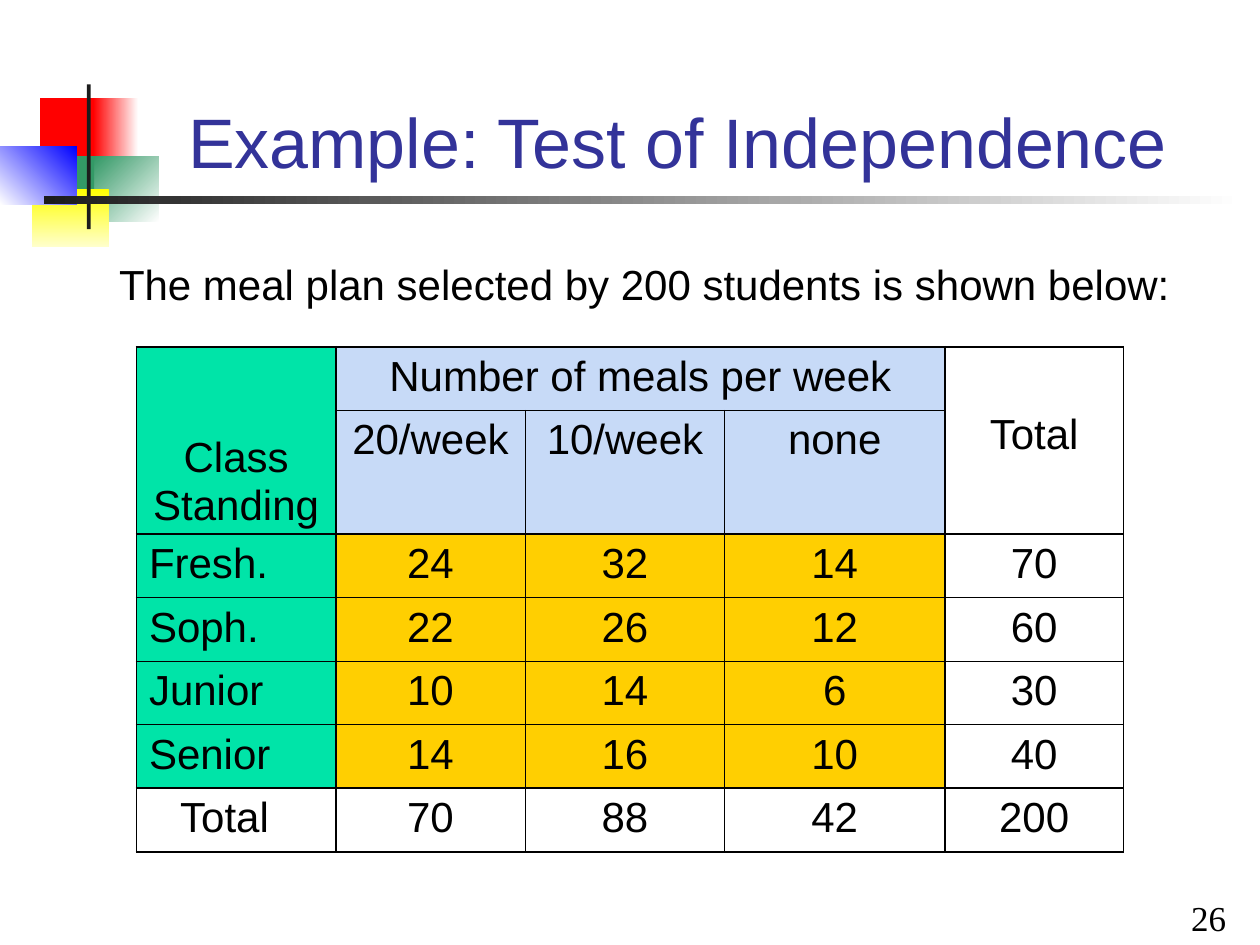
from lxml.etree import SubElement
from pptx import Presentation
from pptx.dml.color import RGBColor
from pptx.enum.shapes import MSO_SHAPE
from pptx.enum.text import MSO_ANCHOR, MSO_AUTO_SIZE, PP_ALIGN
from pptx.oxml.ns import qn
from pptx.util import Cm, Pt

BLACK, INDIGO, CHARCOAL = "000000", "333399", "1C1C1C"
MINT, SKY, AMBER = "00E4A8", "C7DAF7", "FFCF01"

# left, top, width, height (cm), colours, clockwise gradient angle
EMBLEM = [
    (0.81, 0.28, 1.22, 1.32, ["FF0000"], None),
    (1.88, 0.28, 0.91, 1.32, ["FFFFFF", "FF0000"], 180),
    (1.9, 1.45, 1.3, 1.32, ["FFFFFF", "339966"], 225),
    (1.09, 1.45, 0.81, 1.32, ["339966"], None),
    (0.64, 2.11, 1.55, 1.17, ["FFFF00", "FFFFCC"], 90),
    (0, 1.25, 1.55, 1.17, ["0000FF", "FFFFFF"], 135),
    (1.75, 0, 0.08, 2.92, [CHARCOAL], None),
    (0.89, 2.26, 24.16, 0.15, ["FFFFFF", CHARCOAL], 180),
]

MEALS = [
    ["Class\nStanding", "Number of meals per week", "", "", "Total"],
    ["", "20/week", "10/week", "none", ""],
    ["Fresh.", "24", "32", "14", "70"],
    ["Soph.", "22", "26", "12", "60"],
    ["Junior", "10", "14", "6", "30"],
    ["Senior", "14", "16", "10", "40"],
    ["Total", "70", "88", "42", "200"],
]
COLUMN_WIDTHS = [4.02, 3.82, 4.02, 4.44, 3.6]
ROW_HEIGHTS = [1.28, 2.5] + [1.28] * 5
MERGES = [((0, 0), (1, 0)), ((0, 1), (0, 3)), ((0, 4), (1, 4))]
STRONG_ROWS, STRONG_COLUMNS = {0, 2, 6, 7}, {0, 1, 4, 5}


def color(hex_code):
    """Turn a hex string into a colour."""
    return RGBColor.from_string(hex_code)


def apply(target, values):
    """Set every attribute named in values on the target."""
    for name, value in values.items():
        setattr(target, name, value)


def write(frame, text, size, font="Arial", ink=BLACK, **paragraph_format):
    """Write text into a frame, one paragraph per line."""
    frame.text = text
    for paragraph in frame.paragraphs:
        apply(paragraph, paragraph_format)
        for run in paragraph.runs:
            apply(run.font, {"size": Pt(size), "name": font})
            run.font.color.rgb = color(ink)


def paint(shape, colors, angle):
    """Fill a shape with one colour or a two-colour gradient."""
    if angle is None:
        shape.fill.solid()
        shape.fill.fore_color.rgb = color(colors[0])
        return
    shape.fill.gradient()
    shape.fill.gradient_angle = -angle % 360
    for position, (stop, hex_code) in enumerate(zip(shape.fill.gradient_stops, colors)):
        stop.position = position
        stop.color.rgb = color(hex_code)


def add_emblem(slide, left, top):
    """Place the coloured squares and the title rule."""
    group = slide.shapes.add_group_shape()
    for x, y, width, height, colors, angle in EMBLEM:
        block = group.shapes.add_shape(
            MSO_SHAPE.RECTANGLE, Cm(left + x), Cm(top + y), Cm(width), Cm(height))
        block.shadow.inherit = False
        block.line.fill.background()
        paint(block, colors, angle)


def add_title(slide, left, top, width, height):
    """Place and format the title placeholder."""
    title = slide.shapes.title
    apply(title, {"left": Cm(left), "top": Cm(top),
                  "width": Cm(width), "height": Cm(height)})
    apply(title.text_frame, {"vertical_anchor": MSO_ANCHOR.BOTTOM,
                             "auto_size": MSO_AUTO_SIZE.NONE, "word_wrap": True})
    write(title.text_frame, "Example: Test of Independence", 40,
          ink=INDIGO, alignment=PP_ALIGN.CENTER)


def add_text(slide, left, top, width, height, text, size, anchor, **text_format):
    """Place a wrapped text box."""
    frame = slide.shapes.add_textbox(
        Cm(left), Cm(top), Cm(width), Cm(height)).text_frame
    apply(frame, {"word_wrap": True, "vertical_anchor": anchor})
    write(frame, text, size, **text_format)


def cell_fill(row, column):
    """Give the fill of a cell by its part of the table."""
    if row == 6 or column == 4:
        return None
    if column == 0:
        return MINT
    return SKY if row < 2 else AMBER


def rule_cell(cell, row, column):
    """Draw strong lines between blocks and fine lines inside them."""
    bottom = row + (cell.span_height if cell.is_merge_origin else 1)
    right = column + (cell.span_width if cell.is_merge_origin else 1)
    strong = {"a:lnL": column in STRONG_COLUMNS, "a:lnR": right in STRONG_COLUMNS,
              "a:lnT": row in STRONG_ROWS, "a:lnB": bottom in STRONG_ROWS}
    properties = cell._tc.get_or_add_tcPr()
    for index, (tag, is_strong) in enumerate(strong.items()):
        line = SubElement(properties, qn(tag), w=str(Pt(1.08 if is_strong else 0.45)))
        properties.insert(index, line)
        SubElement(SubElement(line, qn("a:solidFill")), qn("a:srgbClr"), val=BLACK)


def format_cell(cell, row, column):
    """Fill, rule and write one table cell."""
    fill = cell_fill(row, column)
    if fill:
        cell.fill.solid()
        cell.fill.fore_color.rgb = color(fill)
    else:
        cell.fill.background()
    rule_cell(cell, row, column)
    is_class_name = column == 0 and 2 <= row < 6
    write(cell.text_frame, MEALS[row][column], 24, space_before=Pt(6),
          alignment=PP_ALIGN.LEFT if is_class_name else PP_ALIGN.CENTER)


def add_meal_table(slide, left, top):
    """Place the table of meal plans by class standing."""
    table = slide.shapes.add_table(
        len(ROW_HEIGHTS), len(COLUMN_WIDTHS), Cm(left), Cm(top),
        Cm(sum(COLUMN_WIDTHS)), Cm(sum(ROW_HEIGHTS))).table
    apply(table, {"first_row": False, "horz_banding": False})
    for column, width in zip(table.columns, COLUMN_WIDTHS):
        column.width = Cm(width)
    for row, height in zip(table.rows, ROW_HEIGHTS):
        row.height = Cm(height)
    for first, last in MERGES:
        table.cell(*first).merge(table.cell(*last))
    for row in range(len(ROW_HEIGHTS)):
        for column in range(len(COLUMN_WIDTHS)):
            format_cell(table.cell(row, column), row, column)
    class_standing = table.cell(0, 0)
    class_standing.vertical_anchor = MSO_ANCHOR.BOTTOM
    for paragraph in class_standing.text_frame.paragraphs:
        paragraph.line_spacing = 0.8
    table.cell(0, 4).margin_top = Cm(1.31)
    table.cell(6, 0).margin_right = Cm(0.72)


def build():
    """Build and save the slide."""
    deck = Presentation()
    apply(deck, {"slide_width": Cm(25.4), "slide_height": Cm(19.05)})
    slide = deck.slides.add_slide(deck.slide_layouts[5])
    add_emblem(slide, 0, 1.7)
    add_title(slide, 2.54, 1.47, 22.23, 2.34)
    add_text(slide, 2.15, 5.08, 22.41, 1.37,
             "The meal plan selected by 200 students is shown below:", 24,
             MSO_ANCHOR.TOP, space_before=Pt(6))
    add_meal_table(slide, 2.75, 6.99)
    add_text(slide, 19.05, 18.16, 5.92, 0.89, "26", 20, MSO_ANCHOR.BOTTOM,
             font="Times New Roman", alignment=PP_ALIGN.RIGHT)
    deck.save("out.pptx")


build()
